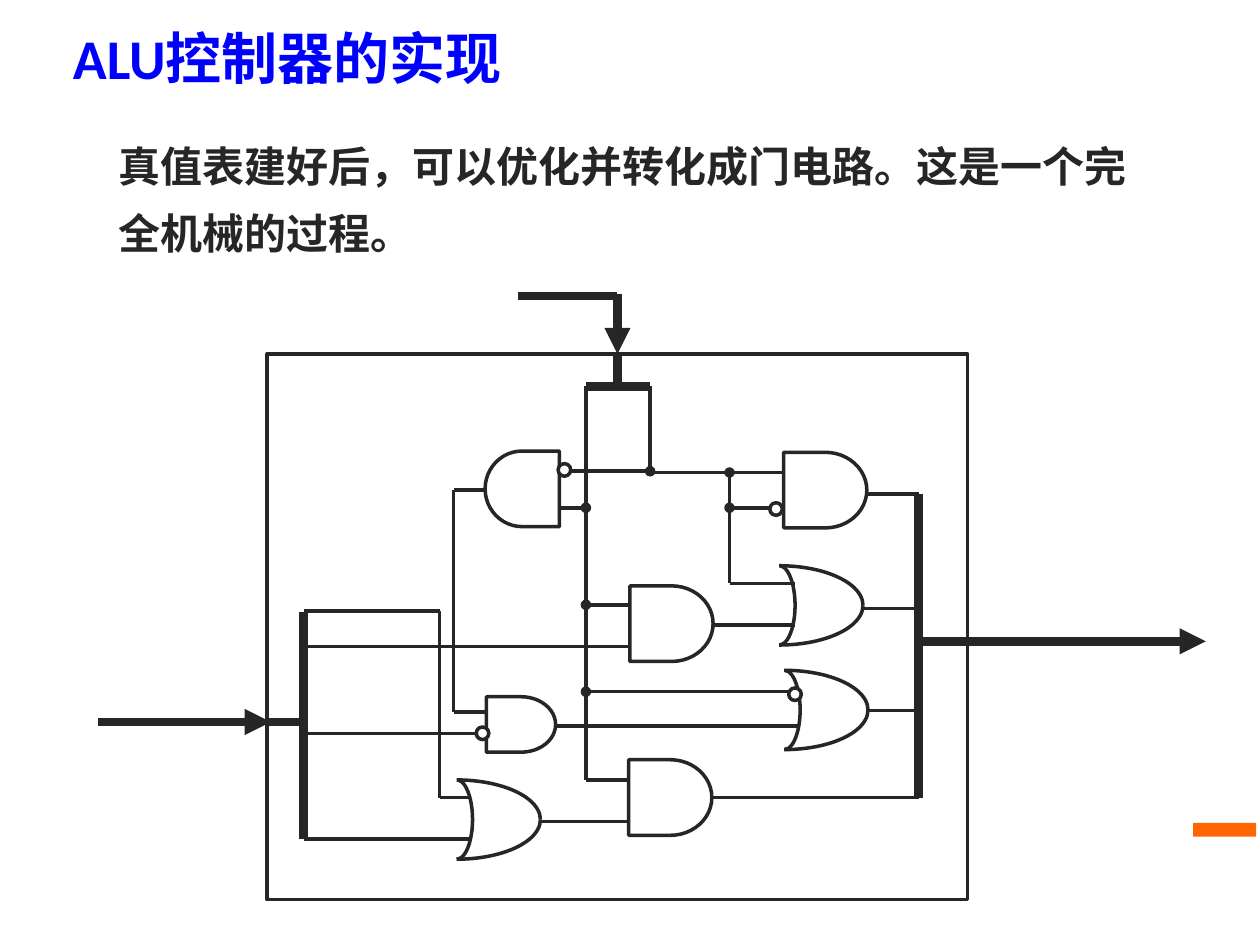
from itertools import pairwise

from lxml import etree
from pptx import Presentation
from pptx import util as u
from pptx.dml.color import RGBColor
from pptx.enum import shapes, text
from pptx.oxml.ns import qn

THEME = {
    "font": "Calibri", "title_size": 32, "body_size": 24, "leading": 38,
    "title": "0000FF", "ink": "262626", "paper": "FFFFFF", "accent": "FF6600",
    "wire": 2, "bus": 5,
}

# Content: text boxes as (words, box, size, colour, line spacing)
TEXTS = [
    ("ALU控制器的实现", (0.48, 0.08, 9.09, 0.75), THEME["title_size"], THEME["title"], None),
    ("真值表建好后，可以优化并转化成门电路。这是一个完全机械的过程。",
     (0.84, 0.99, 8.25, 1.05), THEME["body_size"], THEME["ink"], THEME["leading"]),
]
ACCENT_BAR = (9.47, 6.53, 0.5, 0.11)
FRAME = (2.12, 2.81, 5.56, 4.33)

# Vertical tracks of the circuit, in inches
INPUT, BRANCH, FEEDBACK = 2.41, 3.49, 3.6
LOW, CENTRE, HIGH, FAN, OUTPUT = 4.65, 4.9, 5.16, 5.79, 7.29
TOP, FRAME_TOP = 2.35, FRAME[1]

# Wires as lists of corner points
WIRES = [
    [(INPUT, 4.85), (BRANCH, 4.85), (BRANCH, 6.33), (3.74, 6.33)],
    [(INPUT, 5.13), (5, 5.13)],
    [(INPUT, 5.82), (3.86, 5.82)],
    [(INPUT, 6.66), (3.74, 6.66)],
    [(3.85, 3.89), (FEEDBACK, 3.89), (FEEDBACK, 5.65), (3.86, 5.65)],
    [(LOW, 3.06), (LOW, 6.19), (4.99, 6.19)],
    [(HIGH, 3.06), (HIGH, 3.75), (6.22, 3.75)],
    [(4.29, 6.52), (5, 6.52)],
    [(4.41, 5.76), (6.34, 5.76)],
    [(5.6, 4.96), (6.31, 4.96)],
    [(5.64, 6.33), (OUTPUT, 6.33)],
    [(6.88, 5.64), (OUTPUT, 5.64)],
    [(6.86, 4.83), (OUTPUT, 4.83)],
    [(6.89, 3.92), (OUTPUT, 3.92)],
]
# Wires that branch off with a junction dot at their first point
BRANCHES = [
    [(LOW, 4.03), (4.17, 4.03)],
    [(LOW, 4.8), (5.03, 4.8)],
    [(LOW, 5.49), (6.31, 5.49)],
    [(HIGH, 3.74), (4.16, 3.74)],
    [(FAN, 3.75), (FAN, 4.63), (6.31, 4.63)],
    [(FAN, 4.03), (6.11, 4.03)],
]
BUSES = [
    [(4.11, TOP), (CENTRE, TOP)],
    [(CENTRE, FRAME_TOP), (CENTRE, 3.07)],
    [(LOW, 3.07), (HIGH, 3.07)],
    [(2.12, 5.73), (INPUT, 5.73)],
    [(INPUT, 4.86), (INPUT, 6.66)],
    [(OUTPUT, 3.92), (OUTPUT, 6.33)],
]
ARROWS = [
    [(0.78, 5.73), (2.15, 5.73)],
    [(OUTPUT, 5.09), (9.57, 5.09)],
]
CONTROL_ARROW = [(CENTRE, 2.33), (CENTRE, FRAME_TOP)]

# Gates: AND as (box, mirrored), OR and inverter bubbles by top left corner
AND_GATES = [
    ((3.85, 3.58, 0.59, 0.6), True),
    ((6.22, 3.59, 0.66, 0.6), False),
    ((5, 4.65, 0.66, 0.6), False),
    ((3.86, 5.53, 0.55, 0.44), False),
    ((4.99, 6.03, 0.66, 0.6), False),
]
OR_GATES = [(5.52, 4.49), (5.56, 5.32), (2.96, 6.19)]
OR_WIDTH, OR_HEIGHT, OR_BACK = 1.33, 0.63, 0.25
BUBBLES = [(4.43, 3.68), (6.11, 3.99), (6.26, 5.46), (3.78, 5.77)]
BUBBLE_SIZE = 0.1

presentation = Presentation()
presentation.slide_width, presentation.slide_height = u.Inches(10), u.Inches(7.5)
slide = presentation.slides.add_slide(presentation.slide_layouts[6])
KINDS = shapes.MSO_SHAPE


def add_text(words, box, size, colour, leading):
    frame = slide.shapes.add_textbox(*map(u.Inches, box)).text_frame
    frame.word_wrap = True
    frame.vertical_anchor = text.MSO_ANCHOR.MIDDLE
    paragraph = frame.paragraphs[0]
    paragraph.text = words
    if leading:
        paragraph.line_spacing = u.Pt(leading)
    paragraph.font.name, paragraph.font.size = THEME["font"], u.Pt(size)
    paragraph.font.bold = True
    paragraph.font.color.rgb = RGBColor.from_string(colour)


def add_part(kind, box, fill=None, outlined=True, flip=None):
    shape = slide.shapes.add_shape(kind, *map(u.Inches, box))
    shape.shadow.inherit = False
    if fill:
        shape.fill.solid()
        shape.fill.fore_color.rgb = RGBColor.from_string(fill)
    else:
        shape.fill.background()
    if outlined:
        shape.line.color.rgb = RGBColor.from_string(THEME["ink"])
        shape.line.width = u.Pt(THEME["wire"])
    else:
        shape.line.fill.background()
    if flip:
        shape._element.spPr.find(qn("a:xfrm")).set(flip, "1")
    return shape


def add_line(start, end, width, head=None, tail=None):
    line = slide.shapes.add_connector(
        shapes.MSO_CONNECTOR.STRAIGHT, *map(u.Inches, start + end))
    line.line.color.rgb = RGBColor.from_string(THEME["ink"])
    line.line.width = u.Pt(width)
    for tag, style in (("a:headEnd", head), ("a:tailEnd", tail)):
        if style:
            etree.SubElement(line.line._get_or_add_ln(), qn(tag), type=style)
    etree.SubElement(line._element.spPr, qn("a:effectLst"))
    return line


def add_path(points, width, head=None):
    for index, (start, end) in enumerate(pairwise(points)):
        add_line(start, end, width, head=None if index else head)


def add_or_gate(left, top):
    box = (left, top, OR_WIDTH, OR_HEIGHT)
    add_part(KINDS.ARC, box)
    add_part(KINDS.ARC, box, flip="flipV")
    # Hollow back: a half ellipse turned to bulge right
    back = add_part(KINDS.ARC, (left + 0.35, top + (OR_HEIGHT - OR_BACK) / 2,
                                OR_HEIGHT, OR_BACK))
    back.adjustments[0] = 108.6
    back.rotation = 90


# Accent bar and text
add_part(KINDS.RECTANGLE, ACCENT_BAR, THEME["accent"], outlined=False)
for entry in TEXTS:
    add_text(*entry)

# Controller frame, buses and wires
frame_box = add_part(KINDS.RECTANGLE, FRAME)
for points in WIRES:
    add_path(points, THEME["wire"])
for points in BRANCHES:
    add_path(points, THEME["wire"], head="oval")
for points in BUSES:
    add_path(points, THEME["bus"])
for start, end in ARROWS:
    add_line(start, end, THEME["bus"], tail="triangle")
control = add_line(*CONTROL_ARROW, THEME["bus"], tail="triangle")
control.end_connect(frame_box, 0)

# Gates and inverter bubbles
for box, mirrored in AND_GATES:
    add_part(KINDS.FLOWCHART_DELAY, box, THEME["paper"], flip="flipH" if mirrored else None)
for corner in OR_GATES:
    add_or_gate(*corner)
for corner in BUBBLES:
    add_part(KINDS.OVAL, corner + (BUBBLE_SIZE, BUBBLE_SIZE), THEME["paper"])

presentation.save("out.pptx")
